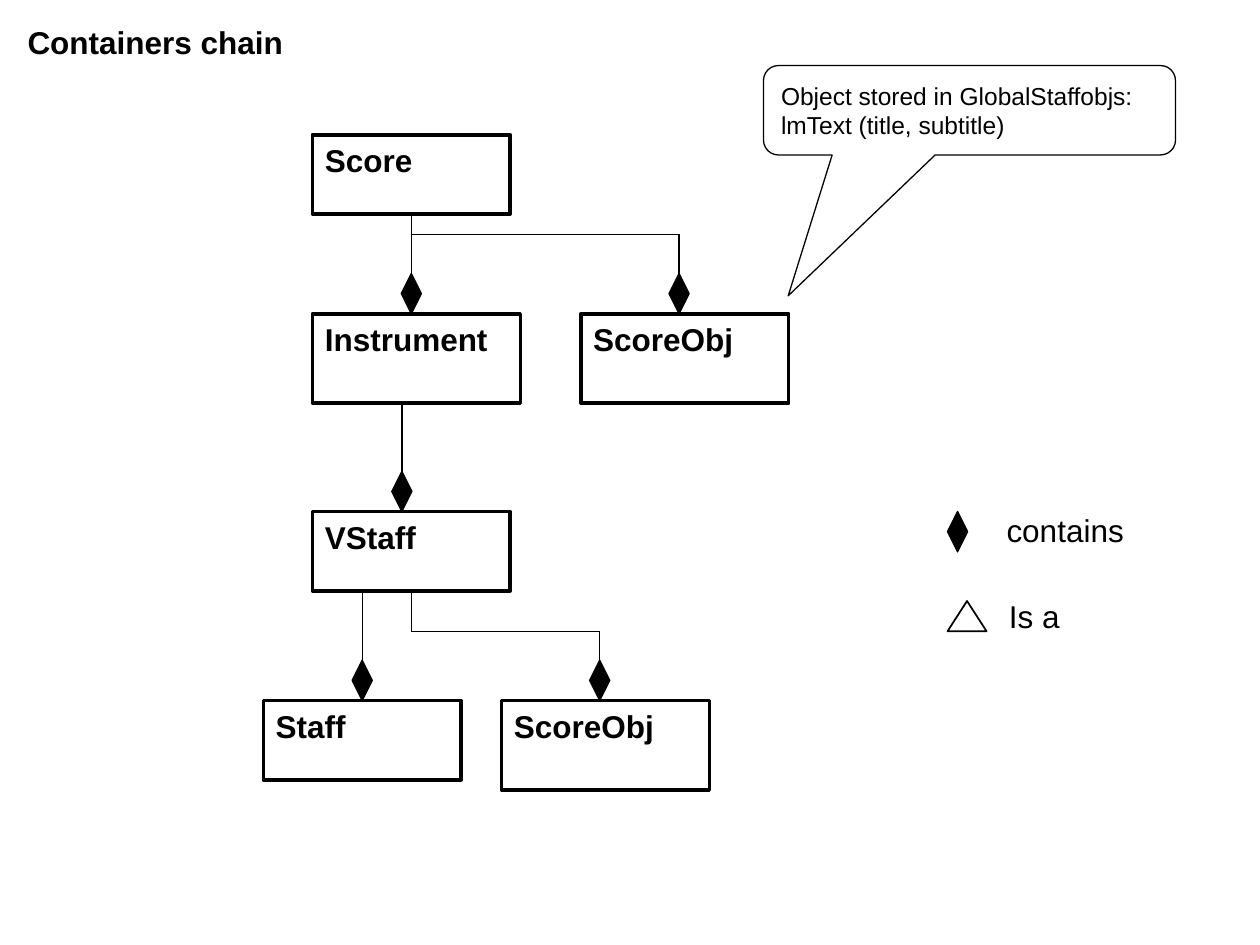
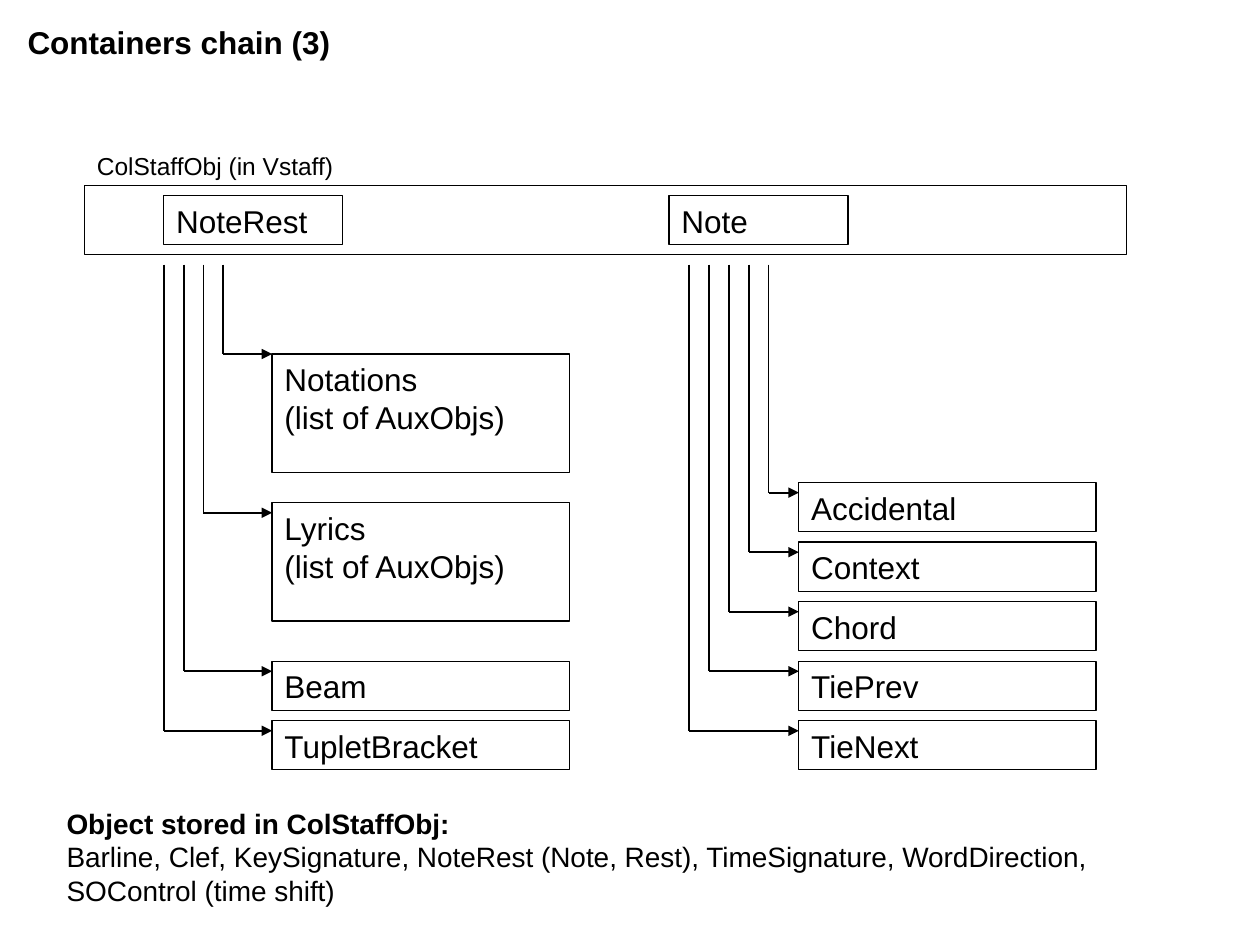
from dataclasses import dataclass

from lxml.etree import SubElement
from pptx import Presentation
from pptx.dml.color import RGBColor
from pptx.enum.shapes import MSO_CONNECTOR, MSO_SHAPE as SHAPE
from pptx.enum.text import MSO_ANCHOR, MSO_AUTO_SIZE, PP_ALIGN
from pptx.oxml.ns import qn
from pptx.util import Inches, Pt


@dataclass(frozen=True)
class Theme:
    font: str = "Arial"
    ink: RGBColor = RGBColor(0, 0, 0)
    body: int = 18
    note: int = 16
    small: int = 14
    hairline: float = 0.75
    thin: float = 1
    thick: float = 2


@dataclass(frozen=True)
class Box:
    x: float
    y: float
    w: float
    h: float

    def at(self, dx, dy, w, h):
        """Box of the given size, offset from this one's top left corner."""
        return Box(self.x + dx, self.y + dy, w, h)

    def emu(self):
        return [Inches(v) for v in (self.x, self.y, self.w, self.h)]


THEME = Theme()
BOTTOM, TOP = 2, 0  # connection sites of a rectangle
DIAMOND_W, DIAMOND_H = 0.16, 0.32


def write(sp, text, size, bold=False, wrap=False):
    tf = sp.text_frame
    tf.text = text
    tf.word_wrap = wrap
    tf.vertical_anchor = MSO_ANCHOR.TOP
    for p in tf.paragraphs:
        p.alignment = PP_ALIGN.LEFT
        for r in p.runs:
            r.font.name = THEME.font
            r.font.size = Pt(size)
            r.font.bold = bold
            r.font.color.rgb = THEME.ink


def add_text(slide, box, text, size=THEME.body, bold=False, wrap=False):
    sp = slide.shapes.add_textbox(*box.emu())
    write(sp, text, size, bold, wrap)
    sp.text_frame.auto_size = MSO_AUTO_SIZE.SHAPE_TO_FIT_TEXT
    return sp


def add_outline(slide, kind, box, weight=THEME.hairline, filled=False):
    sp = slide.shapes.add_shape(kind, *box.emu())
    sp.shadow.inherit = False
    if filled:
        sp.fill.solid()
        sp.fill.fore_color.rgb = THEME.ink
    else:
        sp.fill.background()
    sp.line.color.rgb = THEME.ink
    sp.line.width = Pt(weight)
    return sp


def add_label_box(slide, box, text, weight=THEME.hairline, bold=False):
    sp = add_outline(slide, SHAPE.RECTANGLE, box, weight)
    write(sp, text, THEME.body, bold)
    return sp


def add_diamond(slide, x, y):
    """Filled diamond whose top point is at x, y."""
    box = Box(x - DIAMOND_W / 2, y, DIAMOND_W, DIAMOND_H)
    return add_outline(slide, SHAPE.DIAMOND, box, filled=True)


def add_path(slide, points, weight=THEME.hairline, start=None, end=None, arrow=False):
    """Straight connectors through the points, optionally joined to start and end shapes."""
    parts = []
    for (x1, y1), (x2, y2) in zip(points, points[1:]):
        c = slide.shapes.add_connector(
            MSO_CONNECTOR.STRAIGHT, Inches(x1), Inches(y1), Inches(x2), Inches(y2))
        c.line.color.rgb = THEME.ink
        c.line.width = Pt(weight)
        SubElement(c.element.spPr, qn("a:effectLst"))
        parts.append(c)
    if start is not None:
        parts[0].begin_connect(start, BOTTOM)
    if end is not None:
        parts[-1].end_connect(end, TOP)
    if arrow:
        ln = parts[-1].element.spPr.find(qn("a:ln"))
        SubElement(ln, qn("a:tailEnd"), type="triangle")


def add_titled_slide(prs, title):
    slide = prs.slides.add_slide(prs.slide_layouts[6])
    add_text(slide, Box(0.12, 0.13, 3.02, 0.4), title, bold=True, wrap=True)
    return slide


def containment_tree(slide, box):
    small, large = (1.57, 0.63), (1.65, 0.71)
    main, row2, row3, row4 = 0.39, 1.42, 2.99, 4.49
    nodes = [
        ("Score", main, 0, small),
        ("Instrument", main, row2, large),
        ("ScoreObj", 2.52, row2, large),
        ("VStaff", main, row3, small),
        ("Staff", 0, row4, small),
        ("ScoreObj", 1.89, row4, large),
    ]
    score, _, _, vstaff, staff, _ = [
        add_label_box(slide, box.at(dx, dy, *size), text, THEME.thick, bold=True)
        for text, dx, dy, size in nodes]

    trunk = box.x + main + small[0] / 2
    staff_x = box.x + small[0] / 2
    instrument_x, global_x, staff_obj_x = (box.x + dx for dx in (1.1, 3.3, 2.67))
    y2, y3, y4 = (box.y + dy for dy in (row2, row3, row4))
    score_end, vstaff_end = box.y + small[1], y3 + small[1]
    branch, elbow = box.y + 0.79, box.y + 3.94

    for x, y in ((trunk, y2), (global_x, y2), (instrument_x, y3),
                 (staff_x, y4), (staff_obj_x, y4)):
        add_diamond(slide, x, y - DIAMOND_H)

    add_path(slide, [(trunk, score_end), (trunk, y2)], start=score)
    add_path(slide, [(trunk, branch), (global_x, branch), (global_x, y2)])
    add_path(slide, [(instrument_x, y2 + large[1]), (instrument_x, y3)])
    add_path(slide, [(staff_x, vstaff_end), (staff_x, y4)], end=staff)
    add_path(slide, [(trunk, vstaff_end), (trunk, elbow), (staff_obj_x, elbow),
                     (staff_obj_x, y4)], start=vstaff)


def callout(slide, box, text):
    sp = add_outline(slide, SHAPE.ROUNDED_RECTANGULAR_CALLOUT, box)
    for i, value in enumerate((-0.44, 2.075, 0.167)):
        sp.adjustments[i] = value
    add_text(slide, box.at(0.04, 0.07, 3.78, 0.57), text, THEME.small, wrap=True)


def legend(slide, box):
    add_diamond(slide, box.x + DIAMOND_W / 2, box.y + 0.05)
    add_text(slide, box.at(0.37, 0, 1.13, 0.4), "contains")
    add_outline(slide, SHAPE.ISOSCELES_TRIANGLE, box.at(0, 0.76, 0.31, 0.24), THEME.thin)
    add_text(slide, box.at(0.39, 0.68, 0.6, 0.4), "Is a")


def collection_band(slide, box, caption, members):
    add_text(slide, box.at(0, -0.32, 2.08, 0.34), caption, THEME.small)
    add_outline(slide, SHAPE.RECTANGLE, box)
    for text, dx in members:
        add_label_box(slide, box.at(dx, 0.08, 1.42, 0.39), text)


def attachment_list(slide, box, items):
    """Boxes at the right edge, each reached by its own lane; the lowest uses the leftmost.

    Items run from bottom to top: text, top, height, arrow drop below the top.
    """
    lane_gap, item_w = 0.63 / 4, 2.36
    item_dx = box.w - item_w
    for i, (text, dy, h, drop) in enumerate(items):
        add_label_box(slide, box.at(item_dx, dy, item_w, h), text)
        lane, y = box.x + i * lane_gap, box.y + dy + drop
        add_path(slide, [(lane, box.y), (lane, y), (box.x + item_dx, y)],
                 THEME.thin, arrow=True)


def stored_objects(slide, box, heading, names):
    sp = add_text(slide, box, f"{heading}\n{names}", THEME.note, wrap=True)
    sp.text_frame.paragraphs[0].runs[0].font.bold = True


def chain_slide(prs):
    slide = add_titled_slide(prs, "Containers chain")
    containment_tree(slide, Box(2.09, 1.07, 4.17, 5.2))
    callout(slide, Box(6.06, 0.52, 3.27, 0.71),
            "Object stored in GlobalStaffobjs:\nlmText (title, subtitle)")
    legend(slide, Box(7.52, 4.01, 1.5, 1.08))


def staff_objects_slide(prs):
    slide = add_titled_slide(prs, "Containers chain (3)")
    collection_band(slide, Box(0.67, 1.47, 8.27, 0.55), "ColStaffObj (in Vstaff)",
                    [("NoteRest", 0.63), ("Note", 4.64)])

    row_h, list_h, drop = 0.39, 0.94, 0.08
    bottom_row, pitch = 3.62, 0.4725
    attachment_list(slide, Box(1.3, 2.1, 3.22, 4.01), [
        ("TupletBracket", bottom_row, row_h, drop),
        ("Beam", bottom_row - pitch, row_h, drop),
        ("Lyrics\n(list of AuxObjs)", 1.89, list_h, drop),
        ("Notations\n(list of AuxObjs)", 0.71, list_h, 0),
    ])
    note_parts = ["TieNext", "TiePrev", "Chord", "Context", "Accidental"]
    attachment_list(slide, Box(5.47, 2.1, 3.23, 4.01), [
        (text, bottom_row - i * pitch, row_h, drop) for i, text in enumerate(note_parts)])

    stored_objects(slide, Box(0.43, 6.35, 8.35, 0.9), "Object stored in ColStaffObj:",
                   "Barline, Clef, KeySignature, NoteRest (Note, Rest), TimeSignature, "
                   "WordDirection, SOControl (time shift)")


def main():
    prs = Presentation()
    prs.slide_width, prs.slide_height = Inches(10), Inches(7.5)
    chain_slide(prs)
    staff_objects_slide(prs)
    prs.save("out.pptx")


if __name__ == "__main__":
    main()
